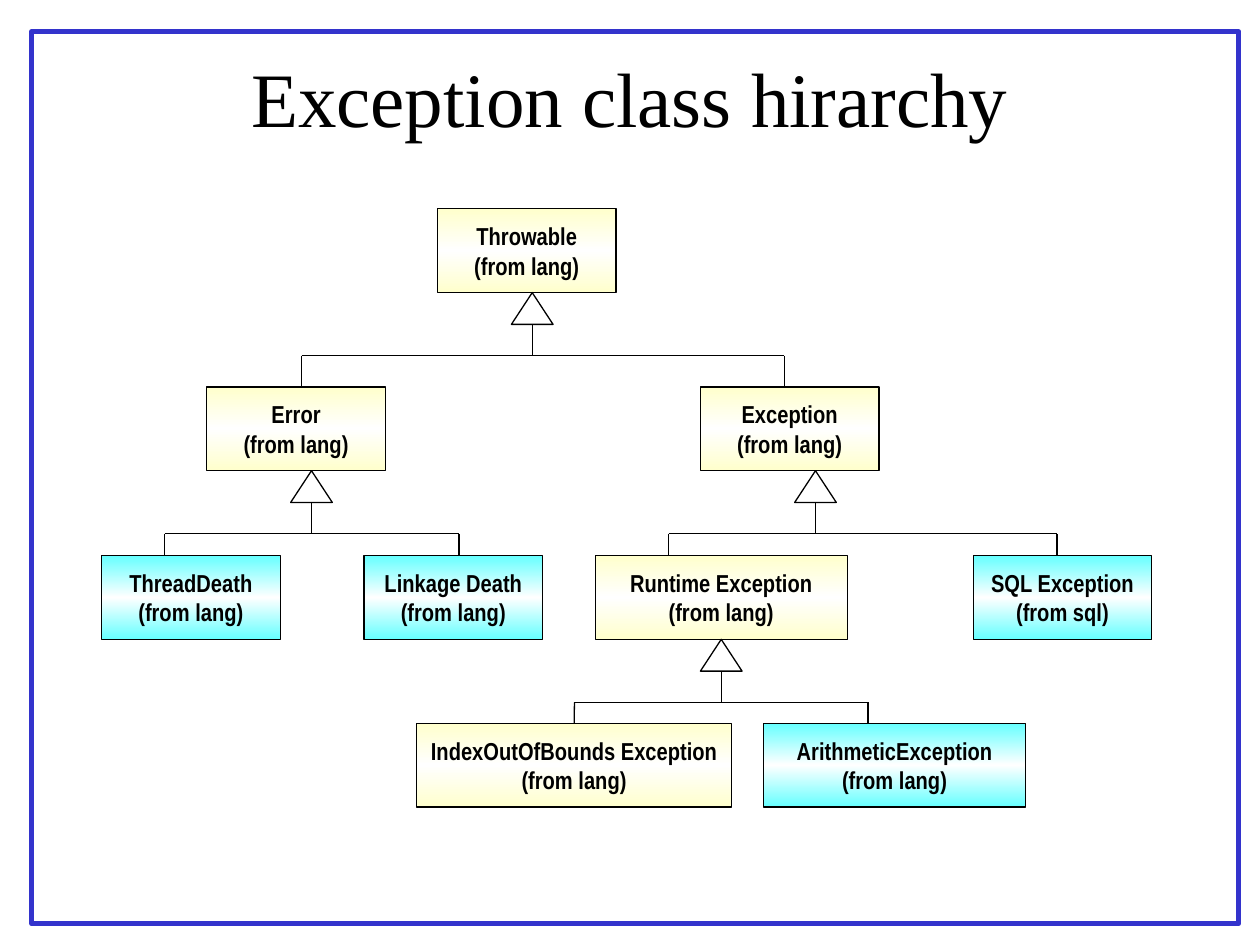
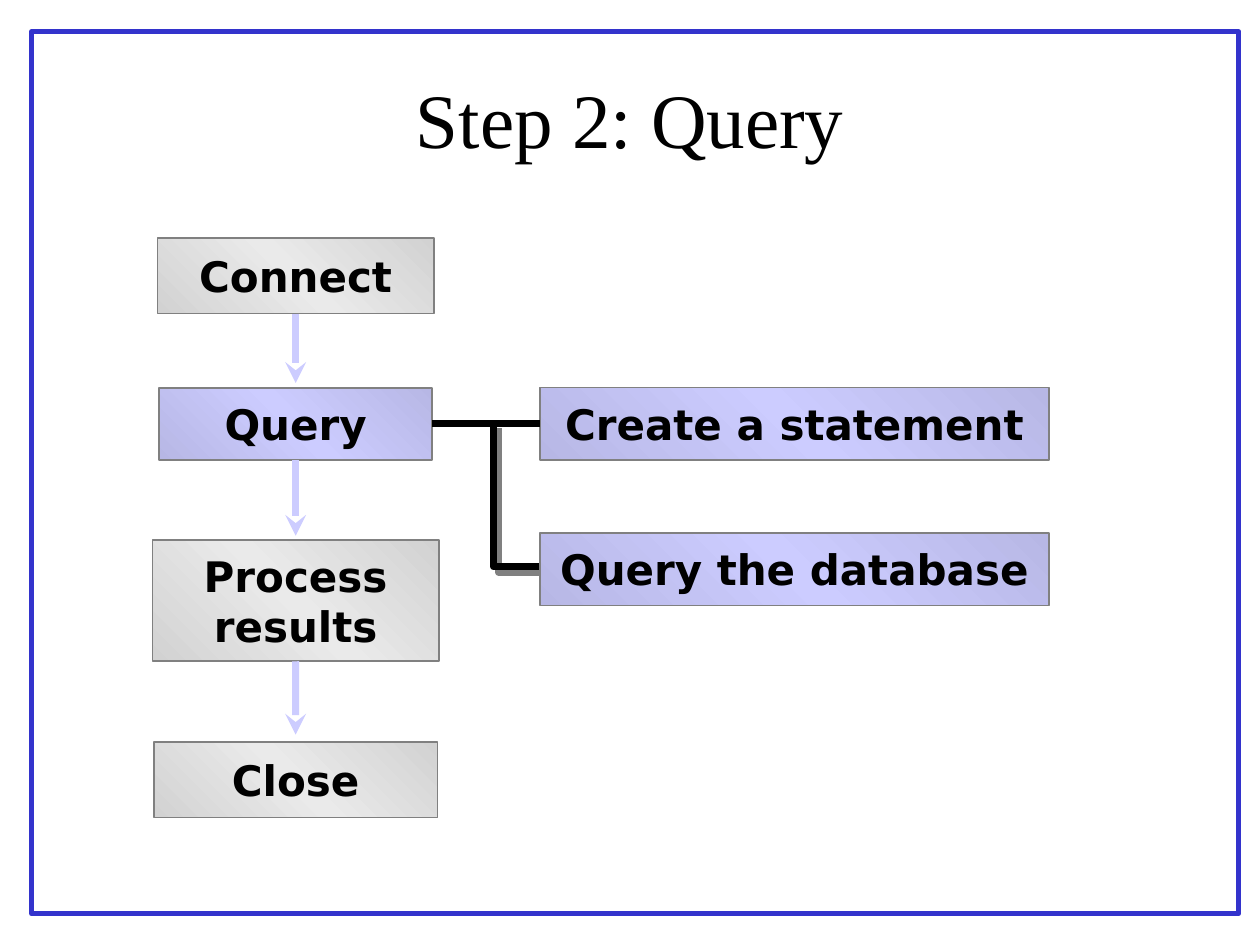
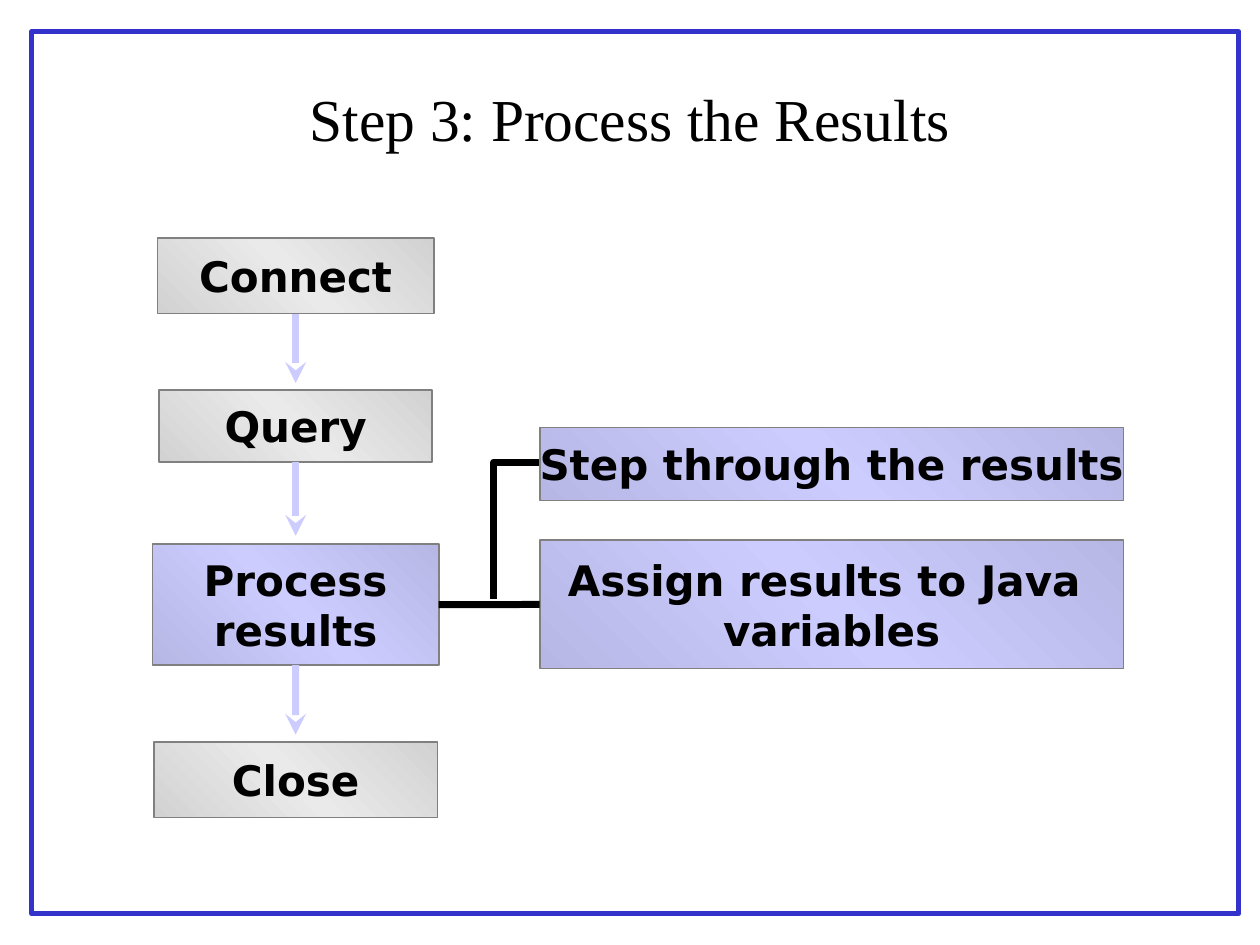
from copy import deepcopy
from dataclasses import dataclass

from pptx import Presentation
from pptx.dml.color import RGBColor
from pptx.enum.shapes import MSO_CONNECTOR, MSO_SHAPE
from pptx.enum.text import MSO_ANCHOR, MSO_AUTO_SIZE, PP_ALIGN
from pptx.oxml import parse_xml
from pptx.oxml.ns import nsdecls
from pptx.util import Cm, Pt

RECTANGLE = MSO_SHAPE.RECTANGLE
TRIANGLE = MSO_SHAPE.ISOSCELES_TRIANGLE
STRAIGHT = MSO_CONNECTOR.STRAIGHT
MIDDLE = MSO_ANCHOR.MIDDLE
CENTER = PP_ALIGN.CENTER
NO_AUTOFIT = MSO_AUTO_SIZE.NONE
TITLE_ONLY = 5
TOP, LEFT, BOTTOM, RIGHT = range(4)

BLACK = "000000"
WHITE = "FFFFFF"
FRAME_BLUE = "3333CC"
ARROW_BLUE = "CCCCFF"
GREY = "808080"
TITLE_FONT = "Times New Roman"


@dataclass(frozen=True)
class BoxStyle:
    edge: str
    middle: str
    angle: int
    line: str
    line_width: float
    font: str
    size: int


@dataclass(frozen=True)
class Box:
    paragraphs: tuple[str, ...]
    left: float
    top: float
    width: float
    height: float
    style: BoxStyle

    @property
    def bottom(self) -> float:
        return self.top + self.height

    @property
    def center(self) -> float:
        return self.left + self.width / 2


@dataclass(frozen=True)
class Branch:
    """A parent class, the tip of its triangle, and each child with its drop line."""
    parent: str
    tip: float
    drops: dict[str, float]


@dataclass(frozen=True)
class Flow:
    title: str
    title_size: int
    steps: list[Box]
    details: list[Box]
    active_step: int
    linked_detail: int
    elbow: list[tuple[float, float]]
    elbow_shadow: bool


PALE_YELLOW = BoxStyle("FFFFCC", WHITE, 90, BLACK, 0.75, "Arial Narrow", 14)
CYAN = BoxStyle("66FFFF", WHITE, 90, BLACK, 0.75, "Arial Narrow", 14)
IDLE = BoxStyle("D2D2D2", "EAEAEA", 45, GREY, 1, "DejaVu Sans", 24)
ACTIVE = BoxStyle("B7B7E5", ARROW_BLUE, 45, GREY, 1, "DejaVu Sans", 24)

CLASS_WIDTH, CLASS_HEIGHT = 3.6, 1.69
CLASS_ROWS = (4.21, 7.8, 11.2, 14.58)
TRIANGLE_WIDTH, TRIANGLE_HEIGHT = 0.84, 0.64
STEM = 0.63

FLOW_AXIS = 5.96
ARROW_ENDS = (7.72, 10.8, 14.81)
DETAIL_LEFT = 10.88


def rgb(value: str) -> RGBColor:
    return RGBColor.from_string(value)


def set_line(line, color: str, width: float) -> None:
    line.color.rgb = rgb(color)
    line.width = Pt(width)


def add_effects(shape, content: str = "") -> None:
    shape._element.spPr.append(
        parse_xml(f"<a:effectLst {nsdecls('a')}>{content}</a:effectLst>"))


def fill_gradient(shape, style: BoxStyle) -> None:
    """Fill with the edge colour at both ends and the middle colour between."""
    shape.fill.gradient()
    shape.fill.gradient_angle = style.angle
    first, second = shape.fill.gradient_stops
    first.color.rgb = rgb(style.edge)
    second.color.rgb = rgb(style.middle)
    second.position = 0.5
    stops = shape._element.spPr.find(".//a:gsLst", {
        "a": "http://schemas.openxmlformats.org/drawingml/2006/main"})
    last = deepcopy(stops[0])
    last.set("pos", "100000")
    stops.append(last)


def add_text(para, text: str, font: str, size: int, bold: bool = False) -> None:
    para.alignment = CENTER
    for index, part in enumerate(text.split("\n")):
        if index:
            para.add_line_break()
        span = para.add_run()
        span.text = part
        span.font.name = font
        span.font.size = Pt(size)
        span.font.bold = bold
        span.font.color.rgb = rgb(BLACK)


def add_outline(shapes, kind, left: float, top: float, width: float, height: float,
                color: str, line_width: float):
    shape = shapes.add_shape(kind, Cm(left), Cm(top), Cm(width), Cm(height))
    shape.shadow.inherit = False
    shape.fill.background()
    set_line(shape.line, color, line_width)
    return shape


def add_box(shapes, box: Box):
    style = box.style
    shape = add_outline(shapes, RECTANGLE, box.left, box.top, box.width, box.height,
                        style.line, style.line_width)
    fill_gradient(shape, style)
    frame = shape.text_frame
    frame.word_wrap = False
    frame.vertical_anchor = MIDDLE
    for index, text in enumerate(box.paragraphs):
        para = frame.add_paragraph() if index else frame.paragraphs[0]
        add_text(para, text, style.font, style.size, bold=True)
    return shape


def add_line(shapes, start: tuple[float, float], end: tuple[float, float],
             color: str = BLACK, width: float = 0.75, arrow: bool = False):
    line = shapes.add_connector(STRAIGHT, *(Cm(value) for value in (*start, *end)))
    set_line(line.line, color, width)
    if arrow:
        line.line._get_or_add_ln().append(
            parse_xml(f'<a:tailEnd {nsdecls("a")} type="stealth"/>'))
    add_effects(line)
    return line


def add_elbow(shapes, points: list[tuple[float, float]], shadow: bool) -> None:
    start, *rest = [(Cm(x), Cm(y)) for x, y in points]
    builder = shapes.build_freeform(*start)
    builder.add_line_segments(rest, close=False)
    elbow = builder.convert_to_shape()
    elbow.fill.background()
    set_line(elbow.line, BLACK, 4)
    elbow.line._get_or_add_ln().append(parse_xml(f"<a:round {nsdecls('a')}/>"))
    add_effects(elbow, '<a:outerShdw dist="53340" dir="2700000">'
                       f'<a:srgbClr val="{GREY}"/></a:outerShdw>' if shadow else "")


def add_page(deck, title: str, size: int, title_top: float, title_height: float,
             frame_height: float):
    """Add a slide with the blue frame behind its title."""
    page = deck.slides.add_slide(deck.slide_layouts[TITLE_ONLY])
    heading = page.shapes.title
    heading.left, heading.top = Cm(1.9), Cm(title_top)
    heading.width, heading.height = Cm(21.6), Cm(title_height)
    text_frame = heading.text_frame
    text_frame.auto_size = NO_AUTOFIT
    text_frame.vertical_anchor = MIDDLE
    add_text(text_frame.paragraphs[0], title, TITLE_FONT, size)
    frame = add_outline(page.shapes, RECTANGLE, 0.64, 0.64, 24.33, frame_height,
                        FRAME_BLUE, 3)
    frame.fill.solid()
    frame.fill.fore_color.rgb = rgb(WHITE)
    heading._element.addprevious(frame._element)
    return page


def class_box(name: str, left: float, row: int, style: BoxStyle = PALE_YELLOW,
              width: float = CLASS_WIDTH, package: str = "lang") -> Box:
    return Box((name, f"(from {package})"), left, CLASS_ROWS[row], width,
               CLASS_HEIGHT, style)


def step_box(text: str, top: float, width: float, height: float,
             style: BoxStyle = IDLE) -> Box:
    return Box((text,), FLOW_AXIS - width / 2, top, width, height, style)


def detail_box(text: str, top: float, width: float, height: float = 1.47) -> Box:
    return Box((text,), DETAIL_LEFT, top, width, height, ACTIVE)


CLASSES = [
    class_box("Throwable", 8.82, 0),
    class_box("Error", 4.17, 1),
    class_box("Exception", 14.12, 1),
    class_box("ThreadDeath", 2.05, 2, CYAN),
    class_box("Linkage Death", 7.34, 2, CYAN),
    class_box("Runtime Exception", 12, 2, width=5.08),
    class_box("SQL Exception", 19.62, 2, CYAN, package="sql"),
    class_box("IndexOutOfBounds Exception", 8.4, 3, width=6.35),
    class_box("ArithmeticException", 15.39, 3, CYAN, width=5.29),
]

BRANCHES = [
    Branch("Throwable", 10.73, {"Error": 6.08, "Exception": 15.81}),
    Branch("Error", 6.28, {"ThreadDeath": 3.32, "Linkage Death": 9.25}),
    Branch("Exception", 16.44, {"Runtime Exception": 13.48, "SQL Exception": 21.31}),
    Branch("Runtime Exception", 14.54,
           {"IndexOutOfBounds Exception": 11.58, "ArithmeticException": 17.5}),
]

CONNECT = step_box("Connect", 4.8, 5.57, 1.52)
CLOSE = step_box("Close", 14.96, 5.72, 1.52)

FLOWS = [
    Flow("Step 2: Query", 44,
         [CONNECT,
          step_box("Query", 7.82, 5.51, 1.45, ACTIVE),
          step_box("Process\nresults", 10.89, 5.77, 2.44),
          CLOSE],
         [detail_box("Create a statement", 7.81, 10.27),
          detail_box("Query the database", 10.74, 10.27)],
         active_step=1, linked_detail=0,
         elbow=[(9.95, 8.53), (9.95, 11.43), (11.43, 11.43)], elbow_shadow=True),
    Flow("Step 3: Process the Results", 34,
         [CONNECT,
          step_box("Query", 7.86, 5.51, 1.45),
          step_box("Process\nresults", 10.97, 5.77, 2.44, ACTIVE),
          CLOSE],
         [detail_box("Step through the results", 8.62, 11.77),
          detail_box("Assign results to Java \nvariables", 10.89, 11.77, 2.59)],
         active_step=2, linked_detail=1,
         elbow=[(9.95, 12.07), (9.95, 9.32), (11.43, 9.32)], elbow_shadow=False),
]


def add_branch(shapes, branch: Branch, boxes: dict, drawn: dict) -> None:
    tip, base = branch.tip, boxes[branch.parent].bottom + TRIANGLE_HEIGHT
    bar = base + STEM
    add_outline(shapes, TRIANGLE, tip - TRIANGLE_WIDTH / 2, base - TRIANGLE_HEIGHT,
                TRIANGLE_WIDTH, TRIANGLE_HEIGHT, BLACK, 0.75)
    add_line(shapes, (tip, base), (tip, bar))
    add_line(shapes, (min(branch.drops.values()), bar),
             (max(branch.drops.values()), bar))
    for child, x in branch.drops.items():
        drop = add_line(shapes, (x, bar), (x, boxes[child].top))
        if abs(x - boxes[child].center) < 0.02:
            drop.end_connect(drawn[child], TOP)


def add_hierarchy_page(deck) -> None:
    page = add_page(deck, "Exception class hirarchy", 44, 1, 1.88, 17.98)
    boxes = {box.paragraphs[0]: box for box in CLASSES}
    drawn = {name: add_box(page.shapes, box) for name, box in boxes.items()}
    for branch in BRANCHES:
        add_branch(page.shapes, branch, boxes, drawn)


def add_flow_page(deck, flow: Flow) -> None:
    page = add_page(deck, flow.title, flow.title_size, 0.79, 3.18, 17.78)
    shapes = page.shapes
    add_elbow(shapes, flow.elbow, flow.elbow_shadow)
    steps = [add_box(shapes, box) for box in flow.steps]
    details = [add_box(shapes, box) for box in flow.details]
    for step, box, end in zip(steps, flow.steps, ARROW_ENDS):
        arrow = add_line(shapes, (FLOW_AXIS, box.bottom), (FLOW_AXIS, end),
                         ARROW_BLUE, 4, arrow=True)
        arrow.begin_connect(step, BOTTOM)
    source = flow.steps[flow.active_step]
    level = source.top + source.height / 2
    link = add_line(shapes, (source.left + source.width, level),
                    (DETAIL_LEFT, level), BLACK, 4)
    link.begin_connect(steps[flow.active_step], RIGHT)
    link.end_connect(details[flow.linked_detail], LEFT)


def main() -> None:
    deck = Presentation()
    deck.slide_width, deck.slide_height = Cm(25.4), Cm(19.05)
    add_hierarchy_page(deck)
    for flow in FLOWS:
        add_flow_page(deck, flow)
    deck.save("out.pptx")


if __name__ == "__main__":
    main()
